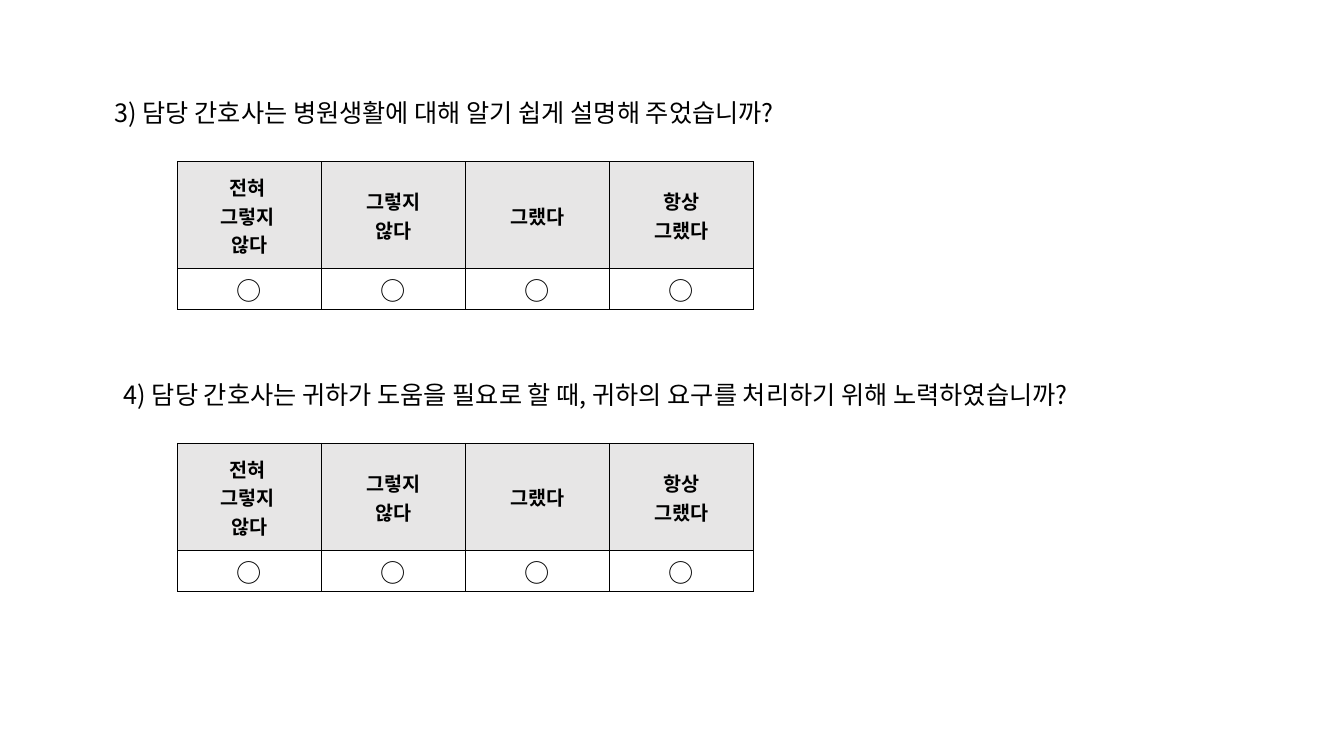
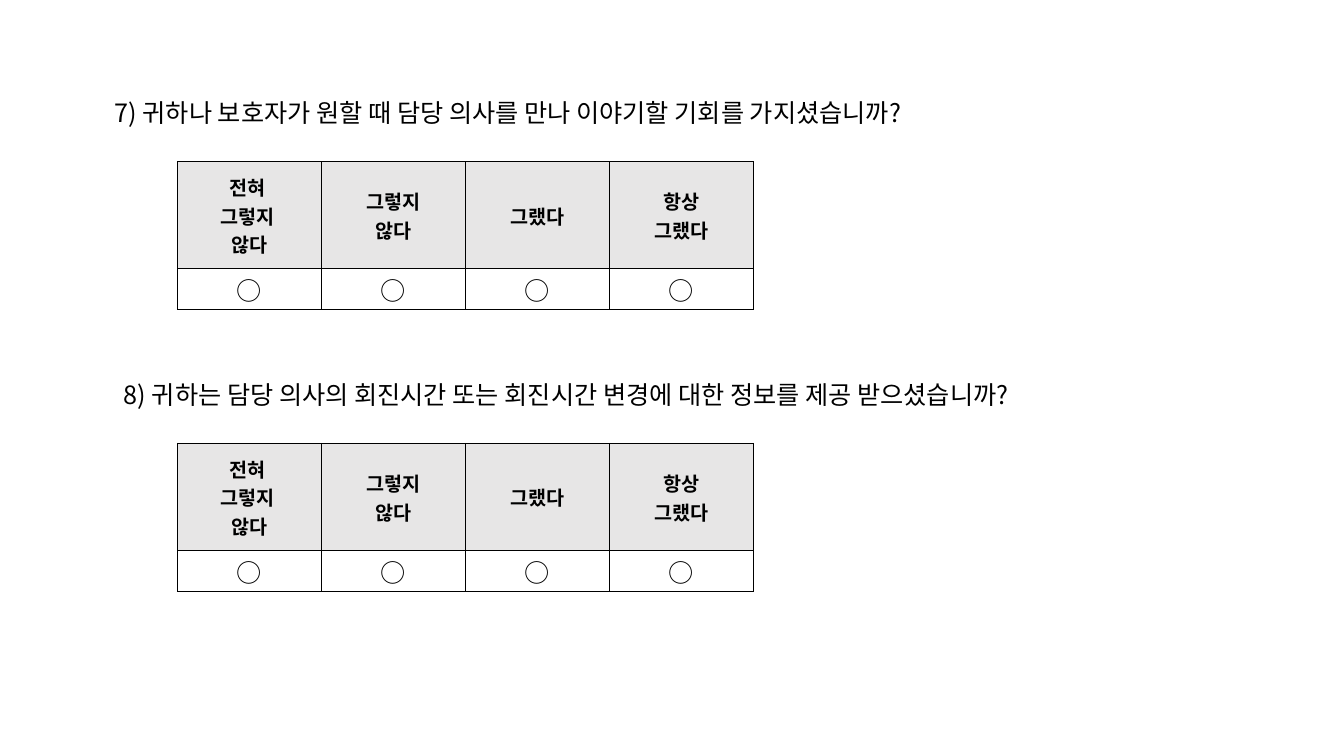
from copy import deepcopy

from lxml.etree import SubElement
from pptx import Presentation
from pptx.dml.color import RGBColor
from pptx.enum.text import MSO_ANCHOR, MSO_AUTO_SIZE, PP_ALIGN
from pptx.oxml.ns import qn
from pptx.util import Cm, Pt

FONT = "Noto Sans CJK KR"
BLACK, GRAY, WHITE = "000000", "E7E6E6", "FFFFFF"

SLIDES = [
    [("3) 담당 간호사는 병원생활에 대해 알기 쉽게 설명해 주었습니까?", 19.2),
     ("4) 담당 간호사는 귀하가 도움을 필요로 할 때, 귀하의 요구를 처리하기 위해 노력하였습니까?", 27.3)],
    [("7) 귀하나 보호자가 원할 때 담당 의사를 만나 이야기할 기회를 가지셨습니까?", 22.86),
     ("8) 귀하는 담당 의사의 회진시간 또는 회진시간 변경에 대한 정보를 제공 받으셨습니까?", 25.65)],
]
CHOICES = ["전혀 \v그렇지 \v않다", "그렇지\v않다", "그랬다", "항상\v그랬다"]
ROWS = [
    {"texts": CHOICES, "height": 2.69, "size": 14, "bold": True, "fill": GRAY},
    {"texts": ["○"] * len(CHOICES), "height": 1.04, "size": 18, "bold": False, "fill": WHITE},
]
QUESTION_LEFTS = [2.64, 2.87]
QUESTION_TOP, QUESTION_H = 2.33, 1.02
TABLE_LEFT, TABLE_TOP, COL_W = 4.47, 4.07, 3.63
PITCH = 7.1


def rgb(value):
    return RGBColor.from_string(value)


def style_text(p, size, bold=False):
    for r in p.runs:
        r.font.name = FONT
        r.font.size = Pt(size)
        r.font.bold = bold
        r.font.color.rgb = rgb(BLACK)
        SubElement(r.font._element, qn("a:ea"), typeface=FONT)
    for br in p._p.findall(qn("a:br")):
        br.append(deepcopy(p.runs[0].font._element))


def add_borders(cell):
    tc_pr = cell._tc.get_or_add_tcPr()
    for side in ("lnL", "lnR", "lnT", "lnB"):
        ln = SubElement(tc_pr, qn(f"a:{side}"), w=str(Pt(0.5)))
        SubElement(SubElement(ln, qn("a:solidFill")), qn("a:srgbClr"), val=BLACK)


def add_question(s, text, left, top, width):
    tf = s.shapes.add_textbox(Cm(left), Cm(top), Cm(width), Cm(QUESTION_H)).text_frame
    tf.word_wrap = False
    tf.auto_size = MSO_AUTO_SIZE.SHAPE_TO_FIT_TEXT
    tf.text = text
    style_text(tf.paragraphs[0], 18)


def fill_cell(cell, text, row):
    cell.margin_left = cell.margin_right = cell.margin_top = Cm(0.03)
    cell.margin_bottom = 0
    cell.vertical_anchor = MSO_ANCHOR.MIDDLE
    add_borders(cell)
    cell.fill.solid()
    cell.fill.fore_color.rgb = rgb(row["fill"])
    p = cell.text_frame.paragraphs[0]
    p.text = text
    p.alignment = PP_ALIGN.CENTER
    style_text(p, row["size"], row["bold"])


def add_scale(s, top):
    height = sum(row["height"] for row in ROWS)
    table = s.shapes.add_table(len(ROWS), len(CHOICES), Cm(TABLE_LEFT), Cm(top),
                               Cm(COL_W * len(CHOICES)), Cm(height)).table
    table.first_row = table.horz_banding = False
    for col in table.columns:
        col.width = Cm(COL_W)
    for i, row in enumerate(ROWS):
        table.rows[i].height = Cm(row["height"])
        for j, text in enumerate(row["texts"]):
            fill_cell(table.cell(i, j), text, row)


def main():
    """Build the survey slides, two rated questions on each."""
    prs = Presentation()
    prs.slide_width, prs.slide_height = Cm(33.87), Cm(19.05)
    for questions in SLIDES:
        s = prs.slides.add_slide(prs.slide_layouts[6])
        for i, (text, width) in enumerate(questions):
            add_question(s, text, QUESTION_LEFTS[i], QUESTION_TOP + i * PITCH, width)
            add_scale(s, TABLE_TOP + i * PITCH)
    prs.save("out.pptx")


if __name__ == "__main__":
    main()
